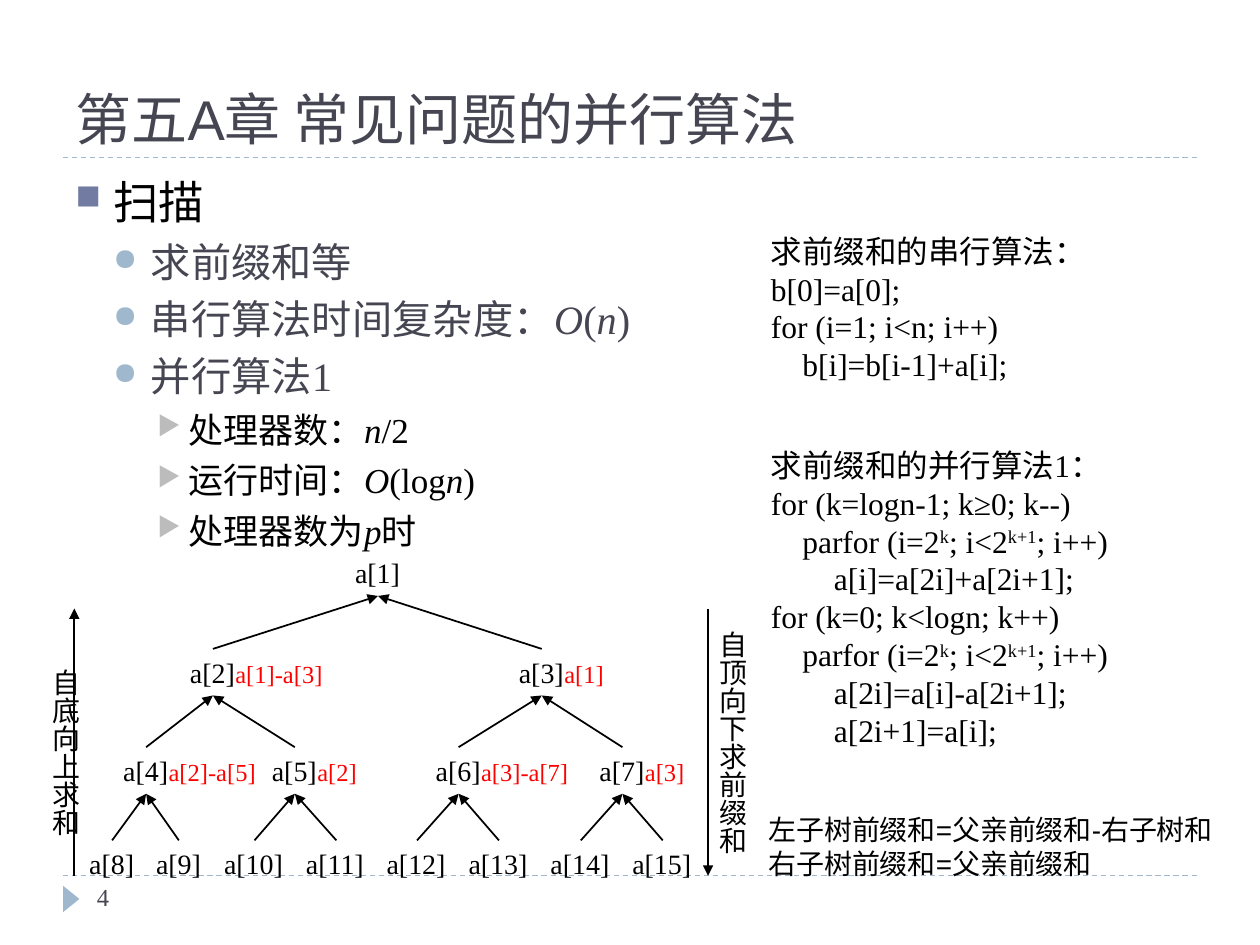
"""Build the slide on parallel prefix sums with its summation tree."""
from dataclasses import dataclass
from typing import Optional

import lxml.etree
import pptx
import pptx.dml.color
import pptx.enum.dml
import pptx.enum.shapes
import pptx.enum.text
import pptx.oxml.ns
import pptx.util
from pptx.util import Inches

COLORS = {"title": "464653", "text": "000000", "note": "FF0000", "rule": "9FB8CD"}
SERIF, SANS = "Times New Roman", "Arial"


@dataclass
class Span:
    text: str
    italic: Optional[bool] = None
    raised: bool = False
    font: Optional[str] = None


@dataclass
class Level:
    bullet: str
    bullet_color: str
    margin: float
    hanging: float
    size: int
    color: str
    before: int


@dataclass
class Style:
    size: int
    font: str = SERIF
    color: str = "text"
    wrap: bool = True
    vertical: bool = False
    anchor: pptx.enum.text.MSO_ANCHOR = pptx.enum.text.MSO_ANCHOR.TOP


@dataclass
class Arrow:
    start: tuple
    end: tuple


LEVELS = [
    Level("■", "727CA3", 0.3, 0.3, 26, "text", 0),
    Level("●", "9FB8CD", 0.6, 0.3, 23, "title", 5),
    Level("▶", "BCBCBC", 0.9, 0.25, 20, "text", 5),
]
OUTLINE = [
    (0, ["扫描"]),
    (1, ["求前缀和等"]),
    (1, ["串行算法时间复杂度：", Span("O", True), "(", Span("n", True), ")"]),
    (1, ["并行算法1"]),
    (2, ["处理器数：", Span("n", True), "/2"]),
    (2, ["运行时间：", Span("O", True), "(log", Span("n", True), ")"]),
    (2, ["处理器数为", Span("p", True), "时"]),
]
SERIAL = [["求前缀和的串行算法："], ["b[0]=a[0];"], ["for (i=1; i<n; i++)"],
          ["    b[i]=b[i-1]+a[i];"]]
PARFOR = ["    parfor (i=2", Span("k", raised=True), "; i<2",
          Span("k+1", raised=True), "; i++)"]
PARALLEL = [
    [Span("求前缀和的", font=SANS), "并行算法1："],
    ["for (k=logn-1; k≥0; k--)"],
    PARFOR,
    ["        a[i]=a[2i]+a[2i+1];"],
    ["for (k=0; k<logn; k++)"],
    PARFOR,
    ["        a[2i]=a[i]-a[2i+1];"],
    ["        a[2i+1]=a[i];"],
]
TREE_ROWS = [
    (4.36, [3.0]),
    (5.15, [1.69, 4.3]),
    (5.93, [1.16, 2.34, 3.64, 4.94]),
    (6.67, [0.89, 1.42, 2.02, 2.67, 3.31, 3.96, 4.61, 5.26]),
]
NOTES = {2: "a[1]-a[3]", 3: "a[1]", 4: "a[2]-a[5]", 5: "a[2]", 6: "a[3]-a[7]", 7: "a[3]"}
SIDE_ARROWS = [Arrow((0.59, 6.95), (0.59, 4.83)), Arrow((5.62, 4.83), (5.62, 6.95))]


def rgb(value: str) -> pptx.dml.color.RGBColor:
    """Turn a hex string into a colour."""
    return pptx.dml.color.RGBColor.from_string(value)


def add_node(parent, tag: str, **attributes: str):
    """Append a drawing element to its parent."""
    return lxml.etree.SubElement(parent, pptx.oxml.ns.qn(tag), attributes)


def write(para, spans: list, size: int, font: str, color: str) -> None:
    """Fill a paragraph with spans and set its font."""
    para.font.size = pptx.util.Pt(size)
    para.font.name = font
    para.font.color.rgb = rgb(COLORS[color])
    for item in spans:
        span = item if isinstance(item, Span) else Span(item)
        run = para.add_run()
        run.text = span.text
        if span.italic:
            run.font.italic = True
        if span.font:
            run.font.name = span.font
        if span.raised:
            run.font._element.set("baseline", "30000")


def add_box(page, left: float, top: float, width: float, height: float, style: Style,
            lines: list):
    """Add a text box with one paragraph for each line."""
    box = page.shapes.add_textbox(Inches(left), Inches(top), Inches(width), Inches(height))
    frame = box.text_frame
    frame.word_wrap = style.wrap
    frame.vertical_anchor = style.anchor
    if style.vertical:
        frame._element.bodyPr.set("vert", "eaVert")
    for index, spans in enumerate(lines):
        para = frame.add_paragraph() if index else frame.paragraphs[0]
        write(para, spans, style.size, style.font, style.color)
    return box


def add_outline(page) -> None:
    """Add the bulleted outline."""
    box = page.shapes.add_textbox(Inches(0.5), Inches(1.33), Inches(9), Inches(2.81))
    frame = box.text_frame
    frame.word_wrap = True
    for index, (depth, spans) in enumerate(OUTLINE):
        level = LEVELS[depth]
        para = frame.add_paragraph() if index else frame.paragraphs[0]
        para.level = depth
        properties = para._p.get_or_add_pPr()
        properties.set("marL", str(Inches(level.margin)))
        properties.set("indent", str(-Inches(level.hanging)))
        add_node(add_node(properties, "a:buClr"), "a:srgbClr", val=level.bullet_color)
        add_node(properties, "a:buSzPct", val="76000")
        add_node(properties, "a:buChar", char=level.bullet)
        para.space_before = pptx.util.Pt(level.before)
        write(para, spans, level.size, SERIF, level.color)


def add_line(page, start: tuple, end: tuple, color: str, width: float):
    """Add a straight connector without a shadow."""
    line = page.shapes.add_connector(
        pptx.enum.shapes.MSO_CONNECTOR.STRAIGHT, *map(Inches, start + end))
    line.line.color.rgb = rgb(COLORS[color])
    line.line.width = pptx.util.Pt(width)
    add_node(line._element.spPr, "a:effectLst")
    return line


def add_arrow(page, arrow: Arrow):
    """Add a black line with an arrowhead at its end."""
    line = add_line(page, arrow.start, arrow.end, "text", 1)
    add_node(line.line._get_or_add_ln(), "a:tailEnd", type="triangle")
    return line


def add_tree(page) -> None:
    """Add the summation tree, whose node i has parent i // 2."""
    nodes, height = {}, 0.37
    for top, centers in TREE_ROWS:
        for number, center in enumerate(centers, start=len(centers)):
            width = 0.56 if number < 10 else 0.68
            nodes[number] = add_box(page, center - width / 2, top, width, height,
                                    Style(16, wrap=False), [[f"a[{number}]"]])
            if number > 1:
                arrow = add_arrow(page, Arrow((center, top), (center, top)))
                arrow.begin_connect(nodes[number], 0)
                arrow.end_connect(nodes[number // 2], 2)
            if number in NOTES:
                note = NOTES[number]
                add_box(page, center + 0.08, top + 0.03, 0.9 if "-" in note else 0.52, 0.34,
                        Style(14, color="note", wrap=False), [[note]])


def main() -> None:
    """Build and save the deck."""
    deck = pptx.Presentation()
    deck.slide_width, deck.slide_height = Inches(10), Inches(7.5)
    page = deck.slides.add_slide(deck.slide_layouts[6])
    for height in (1.25, 6.95):
        rule = add_line(page, (0.5, height), (9.5, height), "rule", 0.75)
        rule.line.dash_style = pptx.enum.dml.MSO_LINE.DASH
    marker = page.shapes.add_shape(pptx.enum.shapes.MSO_SHAPE.ISOSCELES_TRIANGLE,
                                   Inches(0.46), Inches(7.07), Inches(0.21), Inches(0.13))
    marker.rotation = 90
    marker.shadow.inherit = False
    marker.fill.solid()
    marker.fill.fore_color.rgb = rgb(COLORS["rule"])
    marker.line.fill.background()

    add_box(page, 0.5, 0.17, 9, 1.08,
            Style(32, SANS, "title", anchor=pptx.enum.text.MSO_ANCHOR.BOTTOM),
            [["第五A章 常见问题的并行算法"]])
    add_outline(page)
    add_box(page, 0.67, 6.95, 2.17, 0.4, Style(14, color="title"), [["4"]])
    add_box(page, 6.02, 1.79, 2.6, 1.31, Style(18), SERIAL)
    add_box(page, 6.02, 3.49, 3.17, 2.52, Style(18), PARALLEL)
    add_tree(page)
    for arrow in SIDE_ARROWS:
        add_arrow(page, arrow)
    upright = Style(16, SANS, wrap=False, vertical=True)
    add_box(page, 0.23, 5.21, 0.47, 1.45, upright, [["自底向上求和"]])
    add_box(page, 5.53, 4.91, 0.47, 1.9, upright, [["自顶向下求前缀和"]])
    add_box(page, 6, 6.4, 3.77, 0.64, Style(16, SANS),
            [["左子树前缀和=父亲前缀和-右子树和"], ["右子树前缀和=父亲前缀和"]])
    deck.save("out.pptx")


if __name__ == "__main__":
    main()
